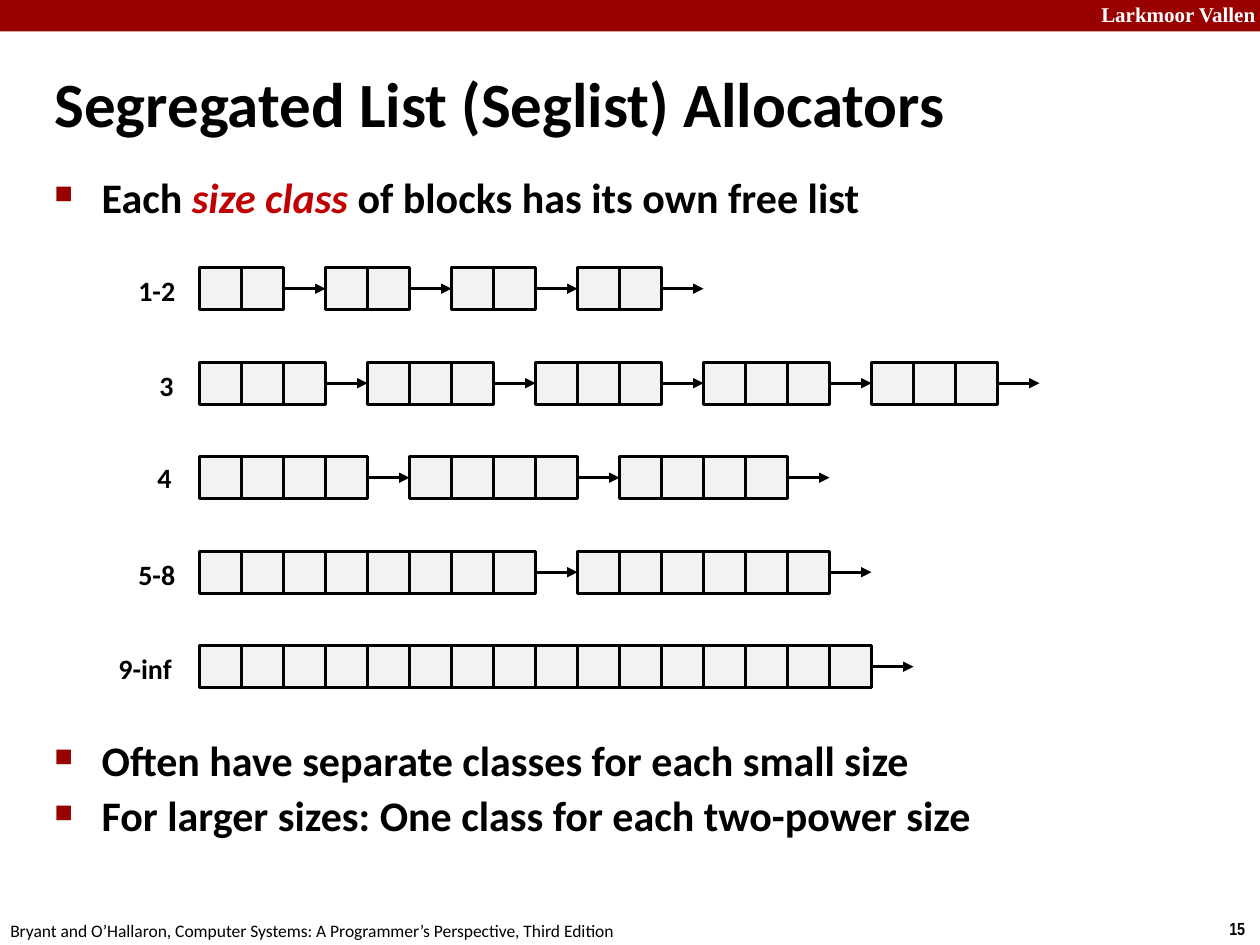
"""Build a slide showing segregated free lists as rows of linked blocks."""
import dataclasses
import typing

import lxml.etree
import pptx
import pptx.dml.color
import pptx.enum.shapes
import pptx.enum.text
import pptx.oxml.ns
import pptx.util

EMU_PER_PX = 7620
WIDTH, HEIGHT = 1200, 900
CELL = 40
LIST_LEFT, LIST_TOP, LIST_PITCH = 190, 255, 90

BLACK = pptx.dml.color.RGBColor(0x00, 0x00, 0x00)
WHITE = pptx.dml.color.RGBColor(0xFF, 0xFF, 0xFF)
CRIMSON = pptx.dml.color.RGBColor(0x99, 0x00, 0x00)
RED = pptx.dml.color.RGBColor(0xC0, 0x00, 0x00)
PALE_GRAY = pptx.dml.color.RGBColor(0xF2, 0xF2, 0xF2)


@dataclasses.dataclass(frozen=True)
class Run:
    text: str
    size: int
    font: str = "Calibri"
    color: pptx.dml.color.RGBColor = BLACK
    bold: bool = True
    italic: bool = False


@dataclasses.dataclass(frozen=True)
class Box:
    left: int
    top: int
    width: int
    height: int


@dataclasses.dataclass(frozen=True)
class FreeList:
    label: str
    label_box: Box
    block_sizes: tuple[int, ...]


LABELS = (
    (Box(1037, -4, 172, 36), Run("Larkmoor Vallen", 12, "Times New Roman", WHITE)),
    (Box(1159, 868, 41, 32), Run("15", 10, "Arial Narrow")),
    (Box(-2, 870, 610, 32),
     Run("Bryant and O’Hallaron, Computer Systems: A Programmer’s Perspective, Third Edition",
         10, bold=False)),
)
TITLE = Run("Segregated List (Seglist) Allocators", 36)
INTRO = (
    (Run("Each ", 24), Run("size class ", 24, color=RED, italic=True),
     Run("of blocks has its own free list", 24)),
)
NOTES = (
    (Run("Often have separate classes for each small size", 24),),
    (Run("For larger sizes: One class for each two-power size", 24),),
)
FREE_LISTS = (
    FreeList("1-2", Box(120, 255, 60, 44), (2,) * 4),
    FreeList("3", Box(140, 345, 38, 44), (3,) * 5),
    FreeList("4", Box(138, 433, 38, 44), (4,) * 3),
    FreeList("5-8", Box(120, 525, 60, 44), (8, 6)),
    FreeList("9-inf", Box(101, 615, 76, 44), (16,)),
)


def px(n: int) -> pptx.util.Emu:
    return pptx.util.Emu(n * EMU_PER_PX)


def add_run(p: typing.Any, run: Run) -> None:
    r = p.add_run()
    r.text = run.text
    r.font.name = run.font
    r.font.size = pptx.util.Pt(run.size)
    r.font.color.rgb = run.color
    r.font.bold = run.bold
    r.font.italic = run.italic


def add_text_frame(s: typing.Any, box: Box, wrap: bool) -> typing.Any:
    sp = s.shapes.add_textbox(px(box.left), px(box.top), px(box.width), px(box.height))
    tf = sp.text_frame
    tf.word_wrap = wrap
    return tf


def add_label(s: typing.Any, box: Box, run: Run) -> None:
    tf = add_text_frame(s, box, False)
    tf.auto_size = pptx.enum.text.MSO_AUTO_SIZE.SHAPE_TO_FIT_TEXT
    add_run(tf.paragraphs[0], run)


def add_title(s: typing.Any, box: Box, run: Run) -> None:
    tf = add_text_frame(s, box, True)
    tf.vertical_anchor = pptx.enum.text.MSO_ANCHOR.MIDDLE
    p = tf.paragraphs[0]
    p.line_spacing = 0.87
    add_run(p, run)


def sub(parent: typing.Any, tag: str, **attrs: str) -> typing.Any:
    return lxml.etree.SubElement(parent, pptx.oxml.ns.qn(tag), attrs)


def add_bullets(s: typing.Any, box: Box, lines: tuple[tuple[Run, ...], ...]) -> None:
    tf = add_text_frame(s, box, True)
    for i, runs in enumerate(lines):
        p = tf.add_paragraph() if i else tf.paragraphs[0]
        p.line_spacing = 0.95
        p.space_before = pptx.util.Pt(4.3)
        pPr = p._p.get_or_add_pPr()
        pPr.set("marL", str(px(45)))
        pPr.set("indent", str(px(-45)))
        sub(sub(pPr, "a:buClr"), "a:srgbClr", val=str(CRIMSON))
        sub(pPr, "a:buSzPct", val="60000")
        sub(pPr, "a:buChar", char="■")
        for run in runs:
            add_run(p, run)


def add_rect(s: typing.Any, box: Box, fill: pptx.dml.color.RGBColor, outlined: bool) -> None:
    sp = s.shapes.add_shape(pptx.enum.shapes.MSO_SHAPE.RECTANGLE,
                            px(box.left), px(box.top), px(box.width), px(box.height))
    sp.shadow.inherit = False
    sp.fill.solid()
    sp.fill.fore_color.rgb = fill
    if outlined:
        sp.line.color.rgb = BLACK
        sp.line.width = pptx.util.Pt(1.5)
    else:
        sp.line.fill.background()


def add_arrow(s: typing.Any, left: int, y: int) -> None:
    sp = s.shapes.add_connector(pptx.enum.shapes.MSO_CONNECTOR.STRAIGHT,
                                px(left), px(y), px(left + CELL), px(y))
    sp.line.color.rgb = BLACK
    sp.line.width = pptx.util.Pt(1.5)
    sub(sp.line._get_or_add_ln(), "a:tailEnd", type="triangle")
    sub(sp._element.spPr, "a:effectLst")


def add_free_list(s: typing.Any, free_list: FreeList, top: int) -> None:
    add_label(s, free_list.label_box, Run(free_list.label, 16))
    left = LIST_LEFT
    for size in free_list.block_sizes:
        for _ in range(size):
            add_rect(s, Box(left, top, CELL, CELL), PALE_GRAY, True)
            left += CELL
        add_arrow(s, left, top + CELL // 2)
        left += CELL


def main() -> None:
    prs = pptx.Presentation()
    prs.slide_width, prs.slide_height = px(WIDTH), px(HEIGHT)
    s = prs.slides.add_slide(prs.slide_layouts[6])
    add_rect(s, Box(0, 0, WIDTH, 30), CRIMSON, False)
    for box, run in LABELS:
        add_label(s, box, run)
    add_title(s, Box(40, 65, 1080, 76), TITLE)
    add_bullets(s, Box(40, 161, 1091, 60), INTRO)
    add_bullets(s, Box(40, 697, 1091, 120), NOTES)
    for i, free_list in enumerate(FREE_LISTS):
        add_free_list(s, free_list, LIST_TOP + i * LIST_PITCH)
    prs.save("out.pptx")


if __name__ == "__main__":
    main()
